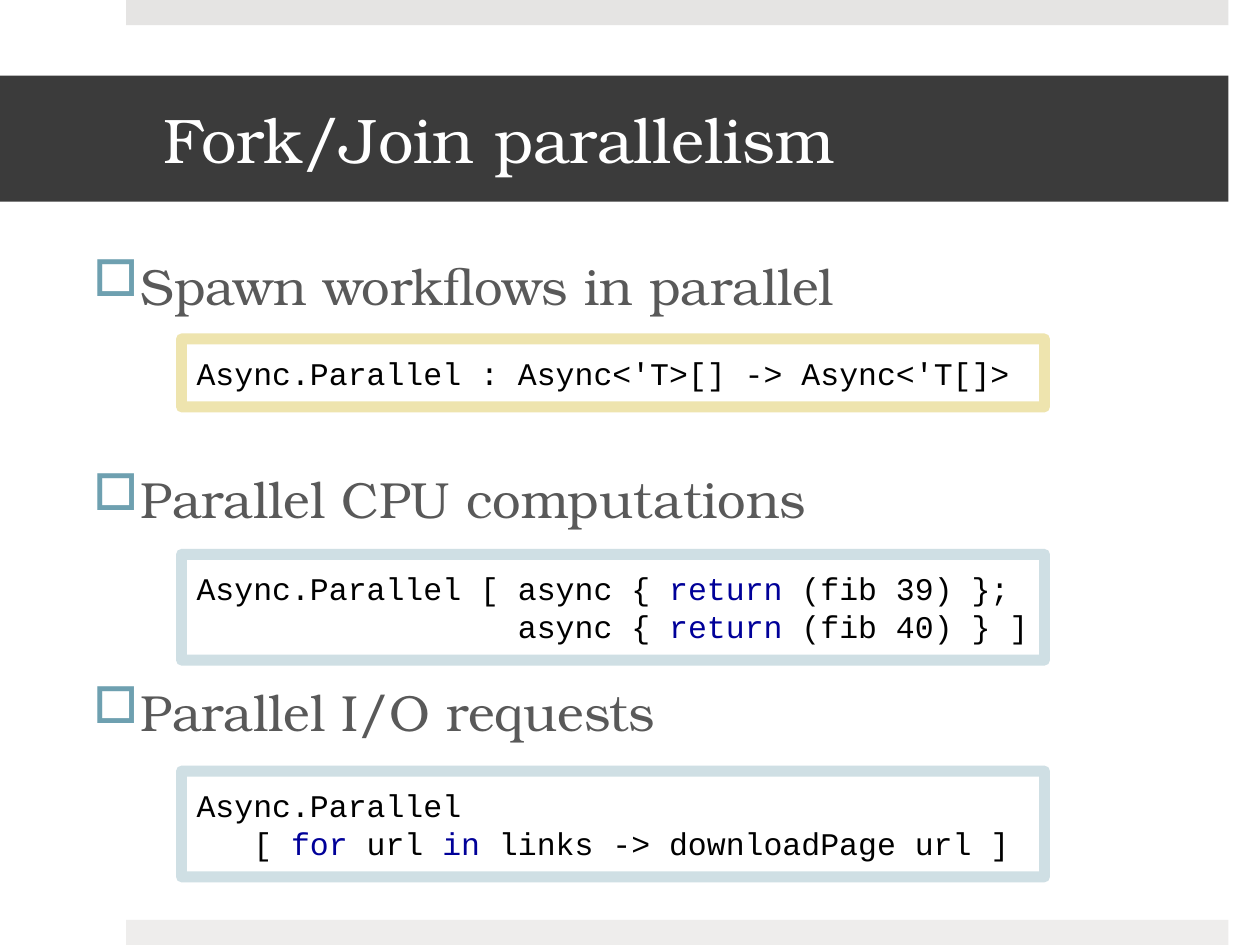
from lxml import etree
from pptx import Presentation, util as u
from pptx.dml.color import RGBColor
from pptx.enum import shapes, text
from pptx.oxml import ns

HUES = {
    "top": "E5E4E3", "foot": "EEEDEC", "band": "3B3B3B", "white": "FFFFFF",
    "body": "595959", "teal": "6EA0B0", "gold": "CCAF0A",
    "code": "000000", "key": "000099",
}
SERIF, MONO = "TeX Gyre Bonum", "Courier New"

POINTS = ["Spawn workflows in parallel", "Parallel CPU computations",
          "Parallel I/O requests"]
# Top, height, frame colour and lines of each code box; backticks enclose keywords
CODES = [
    (2.69, 0.54, "gold", ["Async.Parallel : Async<'T>[] -> Async<'T[]>"]),
    (4.4, 0.84, "teal", ["Async.Parallel [ async { `return` (fib 39) };",
                         "                 async { `return` (fib 40) } ]"]),
    (6.12, 0.84, "teal", ["Async.Parallel",
                          "   [ `for` url `in` links -> downloadPage url ]"]),
]


def rgb(name):
    return RGBColor.from_string(HUES[name])


def inches(*box):
    return [u.Inches(n) for n in box]


def style(font, face, size, hue):
    font.name, font.size, font.color.rgb = face, u.Pt(size), rgb(hue)


def inset(frame, left, top, right, bottom):
    frame.margin_left, frame.margin_top = inches(left, top)
    frame.margin_right, frame.margin_bottom = inches(right, bottom)


def add_bar(slide, box, hue):
    bar = slide.shapes.add_shape(shapes.MSO_SHAPE.RECTANGLE, *inches(*box))
    bar.shadow.inherit = False
    bar.fill.solid()
    bar.fill.fore_color.rgb = rgb(hue)
    bar.line.fill.background()


def set_title(slide, box, words):
    title = slide.shapes.title
    title.left, title.top, title.width, title.height = inches(*box)
    title.fill.solid()
    title.fill.fore_color.rgb = rgb("band")
    frame = title.text_frame
    frame.text = words
    frame.vertical_anchor = text.MSO_ANCHOR.MIDDLE
    inset(frame, 1.3, 0.05, 0.3, 0.05)
    para = frame.paragraphs[0]
    para.alignment = text.PP_ALIGN.LEFT
    style(para.runs[0].font, SERIF, 36, "white")


def add_bullet(para):
    props = para._p.get_or_add_pPr()
    props.set("marL", str(u.Inches(0.38)))
    props.set("indent", str(u.Inches(-0.38)))
    tint = etree.SubElement(props, ns.qn("a:buClr"))
    etree.SubElement(tint, ns.qn("a:srgbClr"), val=HUES["teal"])
    etree.SubElement(props, ns.qn("a:buChar"), char="□")


def add_points(slide, box, points):
    frame = slide.shapes.add_textbox(*inches(*box)).text_frame
    frame.word_wrap = True
    for i, point in enumerate(points):
        para = frame.add_paragraph() if i else frame.paragraphs[0]
        para.text = point
        add_bullet(para)
        para.space_before = u.Pt(81 if i else 0)
        para.space_after = u.Pt(6)
        style(para.runs[0].font, SERIF, 29, "body")


def add_code(slide, box, hue, lines):
    card = slide.shapes.add_shape(shapes.MSO_SHAPE.RECTANGLE, *inches(*box))
    card.shadow.inherit = False
    card.fill.background()
    # Pale frame: a translucent line
    card.line.color.rgb = rgb(hue)
    card.line.width = u.Pt(6.25)
    tint = card.line._ln.find(".//" + ns.qn("a:srgbClr"))
    etree.SubElement(tint, ns.qn("a:alpha"), val="32000")
    etree.SubElement(card.line._ln, ns.qn("a:round"))

    frame = card.text_frame
    frame.word_wrap = True
    frame.auto_size = text.MSO_AUTO_SIZE.SHAPE_TO_FIT_TEXT
    frame.vertical_anchor = text.MSO_ANCHOR.TOP
    inset(frame, 0.12, 0.12, 0.12, 0.12)
    for i, line in enumerate(lines):
        para = frame.add_paragraph() if i else frame.paragraphs[0]
        para.alignment = text.PP_ALIGN.LEFT
        for j, part in enumerate(line.split("`")):
            run = para.add_run()
            run.text = part
            style(run.font, MONO, 18, "key" if j % 2 else "code")


def main():
    deck = Presentation()
    deck.slide_width, deck.slide_height = inches(10, 7.5)
    slide = deck.slides.add_slide(deck.slide_layouts[5])

    # Edge bars and title band
    add_bar(slide, (1, 0, 8.75, 0.2), "top")
    add_bar(slide, (1, 7.3, 8.75, 0.2), "foot")
    set_title(slide, (0, 0.6, 9.75, 1), "Fork/Join parallelism")

    # Bullets, each with its code box below
    add_points(slide, (0.64, 1.97, 9.07, 5.17), POINTS)
    for top, height, hue, lines in CODES:
        add_code(slide, (1.44, top, 6.85, height), hue, lines)

    deck.save("out.pptx")


if __name__ == "__main__":
    main()
